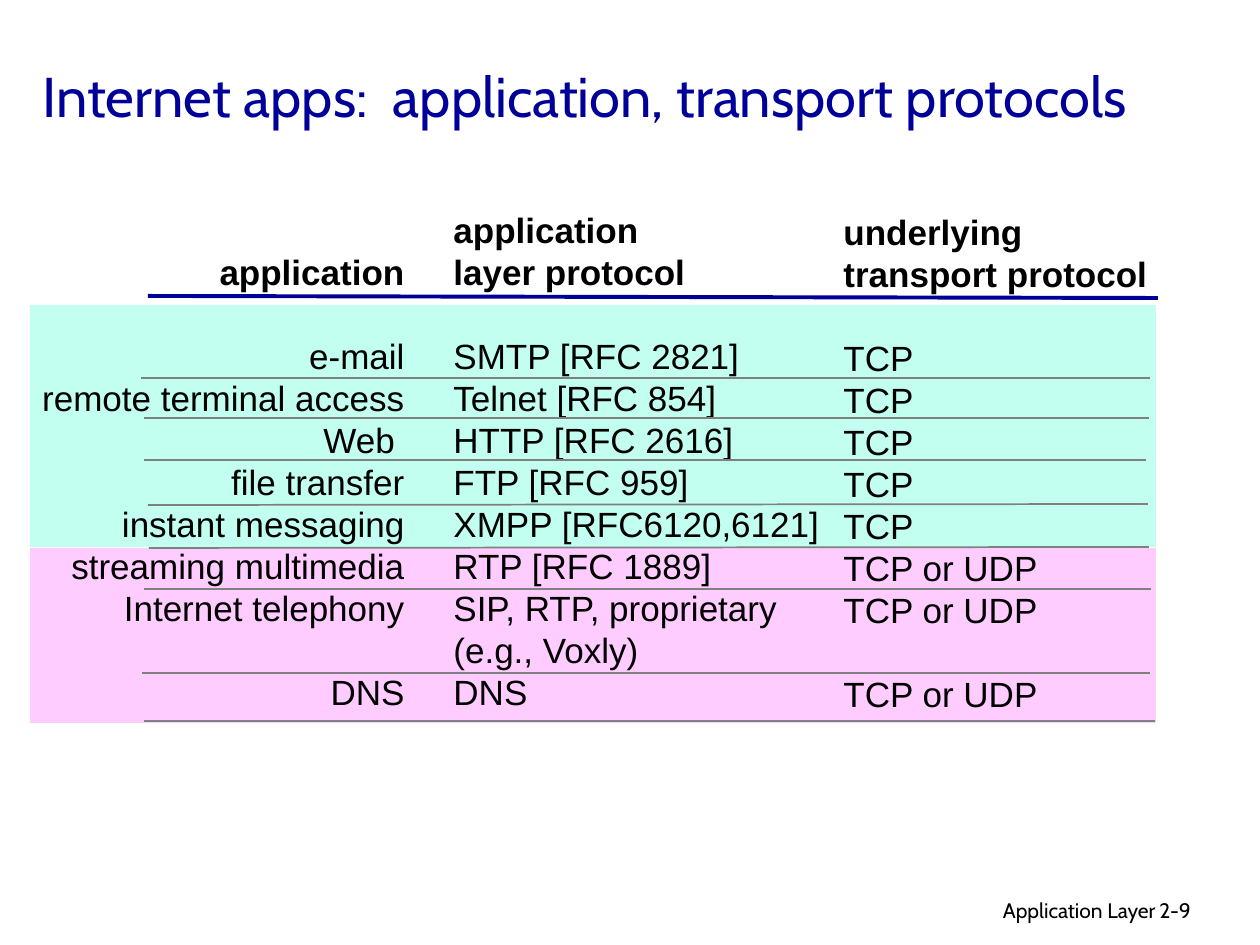
"""Build the slide on Internet applications and their protocols."""
from dataclasses import dataclass

from lxml.etree import SubElement
from pptx import Presentation
from pptx.dml.color import RGBColor
from pptx.enum.shapes import MSO_CONNECTOR, MSO_SHAPE
from pptx.enum.text import MSO_ANCHOR, PP_ALIGN
from pptx.oxml.ns import qn
from pptx.slide import Slide
from pptx.util import Emu, Inches, Pt

PX_PER_INCH = 126


@dataclass(frozen=True)
class Theme:
    navy: str = "000099"
    black: str = "000000"
    grey: str = "808080"
    mint: str = "C2FFF0"
    pink: str = "FFCCFF"
    title_font: str = "Cabin"
    body_font: str = "Arial"
    title_size: int = 32
    body_size: int = 20
    footer_size: int = 12
    row_pitch: int = 24


@dataclass(frozen=True)
class Band:
    top: int
    height: int
    color: str


@dataclass(frozen=True)
class Column:
    box: tuple[int, int, int, int]
    header: tuple[str, ...]
    rows: tuple[str, ...]
    gaps: tuple[int, ...] = (0,)
    align: PP_ALIGN = PP_ALIGN.LEFT


@dataclass(frozen=True)
class Rule:
    x1: int
    y1: int
    x2: int
    y2: int
    color: str
    width: float = 1


THEME = Theme()

BANDS = (Band(305, 242, THEME.mint), Band(548, 175, THEME.pink))

COLUMNS = (
    Column(
        (20, 244, 397, 530),
        ("application",),
        ("e-mail", "remote terminal access", "Web ", "file transfer", "instant messaging",
         "streaming multimedia", "Internet telephony", "DNS"),
        gaps=(0, 7),
        align=PP_ALIGN.RIGHT,
    ),
    Column(
        (441, 202, 400, 530),
        ("application", "layer protocol"),
        ("SMTP [RFC 2821]", "Telnet [RFC 854]", "HTTP [RFC 2616]", "FTP [RFC 959]",
         "XMPP [RFC6120,6121]", "RTP [RFC 1889]", "SIP, RTP, proprietary",
         "(e.g., Voxly)", "DNS"),
    ),
    Column(
        (831, 204, 362, 522),
        ("underlying", "transport protocol"),
        ("TCP",) * 5 + ("TCP or UDP",) * 3,
        gaps=(0, 7),
    ),
)

RULES = (
    Rule(148, 296, 1158, 298, THEME.navy, 2.25),
    Rule(141, 378, 1150, 378, THEME.grey),
    Rule(144, 418, 1149, 418, THEME.grey),
    Rule(144, 460, 1146, 460, THEME.grey),
    Rule(148, 505, 1148, 504, THEME.grey),
    Rule(149, 548, 1149, 547, THEME.grey),
    Rule(144, 589, 1151, 589, THEME.grey),
    Rule(142, 673, 1150, 673, THEME.grey),
    Rule(144, 721, 1155, 721, THEME.grey),
)


def px(n: int) -> Emu:
    return Emu(round(n * Inches(1) / PX_PER_INCH))


def add_text(s: Slide, box: tuple[int, int, int, int], lines: tuple[str, ...], *,
             size: int, font: str, color: str = THEME.black, bold_rows: int = 0,
             gaps: tuple[int, ...] = (), pitch: int | None = None,
             align: PP_ALIGN = PP_ALIGN.LEFT, anchor: MSO_ANCHOR = MSO_ANCHOR.TOP) -> None:
    tf = s.shapes.add_textbox(*map(px, box)).text_frame
    tf.word_wrap = True
    tf.vertical_anchor = anchor
    for i, line in enumerate(lines):
        p = tf.add_paragraph() if i else tf.paragraphs[0]
        p.alignment = align
        if pitch:
            p.line_spacing = Pt(pitch)
            if i in gaps:
                p.space_before = Pt(pitch)
        r = p.add_run()
        r.text = line
        r.font.name = font
        r.font.size = Pt(size)
        r.font.bold = i < bold_rows
        r.font.color.rgb = RGBColor.from_string(color)


def add_band(s: Slide, band: Band) -> None:
    sp = s.shapes.add_shape(MSO_SHAPE.RECTANGLE, *map(px, (30, band.top, 1126, band.height)))
    sp.shadow.inherit = False
    sp.fill.solid()
    sp.fill.fore_color.rgb = RGBColor.from_string(band.color)
    sp.line.fill.background()


def add_column(s: Slide, col: Column) -> None:
    n = len(col.header)
    add_text(s, col.box, col.header + col.rows, size=THEME.body_size, font=THEME.body_font,
             bold_rows=n, gaps=tuple(n + g for g in col.gaps), pitch=THEME.row_pitch,
             align=col.align)


def add_rule(s: Slide, rule: Rule) -> None:
    ends = map(px, (rule.x1, rule.y1, rule.x2, rule.y2))
    cxn = s.shapes.add_connector(MSO_CONNECTOR.STRAIGHT, *ends)
    cxn.line.color.rgb = RGBColor.from_string(rule.color)
    cxn.line.width = Pt(rule.width)
    SubElement(cxn._element.spPr, qn("a:effectLst"))


def main() -> None:
    prs = Presentation()
    prs.slide_width, prs.slide_height = Inches(10), Inches(7.5)
    s = prs.slides.add_slide(prs.slide_layouts[6])
    for band in BANDS:
        add_band(s, band)
    add_text(s, (769, 891, 399, 39), ("Application Layer",), size=THEME.footer_size,
             font=THEME.title_font, align=PP_ALIGN.RIGHT)
    add_text(s, (1147, 891, 93, 38), ("2-9",), size=THEME.footer_size, font=THEME.title_font)
    add_text(s, (30, 37, 1206, 116), ("Internet apps:  application, transport protocols",),
             size=THEME.title_size, font=THEME.title_font, color=THEME.navy,
             anchor=MSO_ANCHOR.MIDDLE)
    for col in COLUMNS:
        add_column(s, col)
    for rule in RULES:
        add_rule(s, rule)
    prs.save("out.pptx")


if __name__ == "__main__":
    main()
